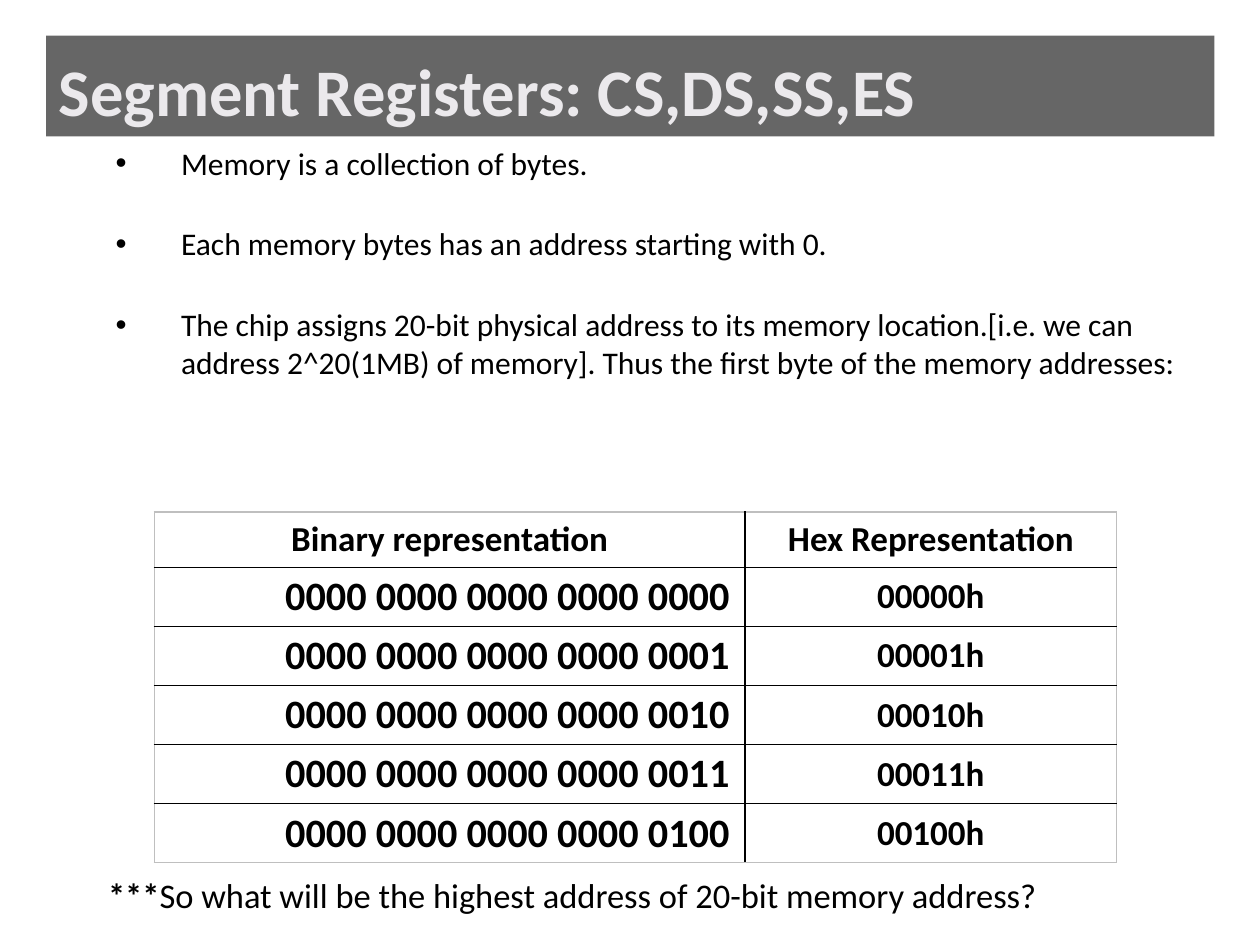
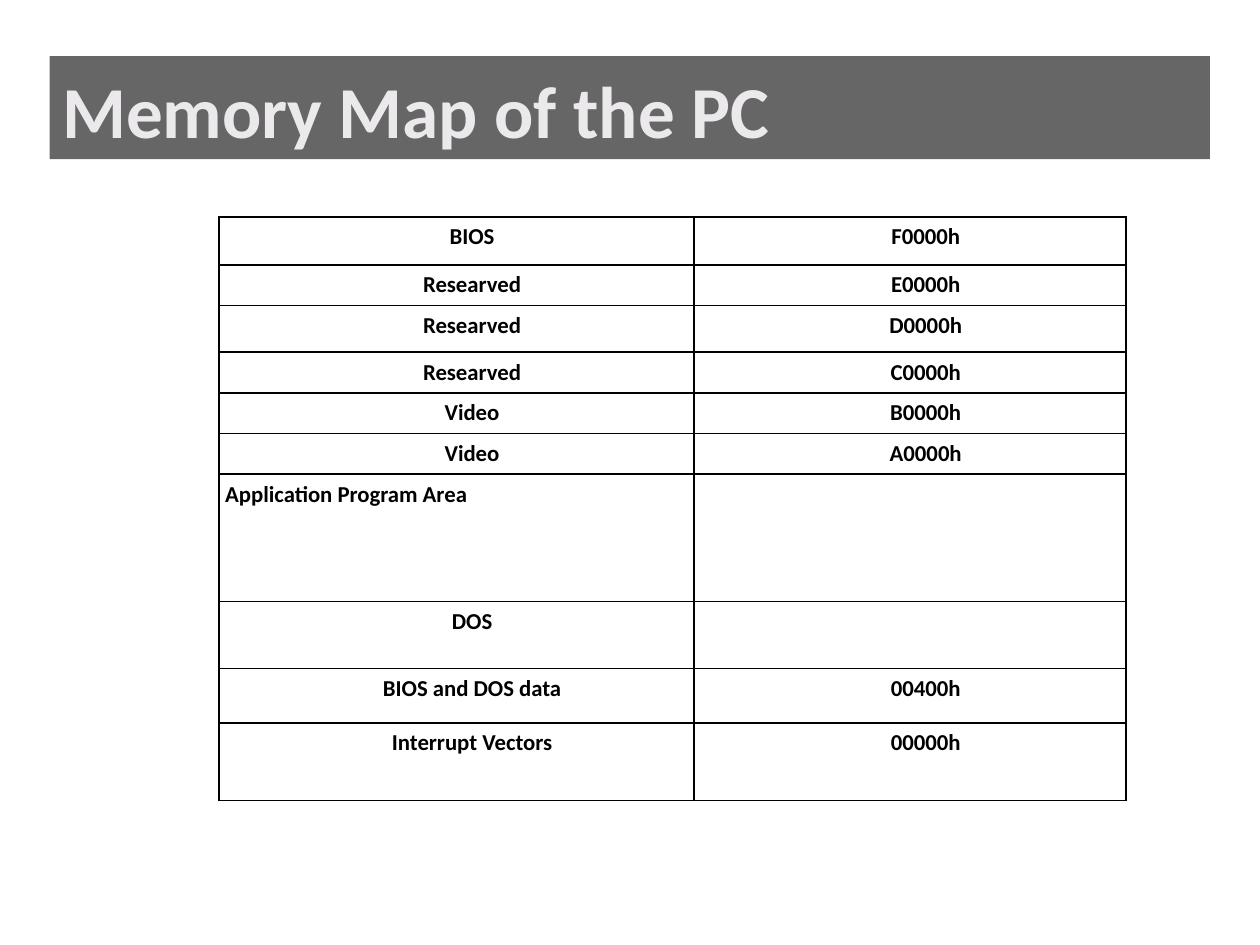
import pptx
import pptx.dml.color
import pptx.enum.text
import pptx.oxml.ns
import pptx.util
from lxml import etree

Cm, Pt = pptx.util.Cm, pptx.util.Pt
RGB = pptx.dml.color.RGBColor
ALIGN, ANCHOR = pptx.enum.text.PP_ALIGN, pptx.enum.text.MSO_ANCHOR
qn = pptx.oxml.ns.qn

BAND = RGB(0x26, 0x26, 0x26)
BAND_ALPHA = 70
TITLE = RGB(0xEB, 0xE9, 0xEC)
BLACK = RGB(0, 0, 0)
EDGE = RGB(0xBF, 0xBF, 0xBF)
FONT = "Calibri"

# Content
REGISTERS_TITLE = "Segment Registers: CS,DS,SS,ES"
POINTS = [
    "Memory is a collection of bytes.",
    "Each memory bytes has an address starting with 0.",
    "The chip assigns 20-bit physical address to its memory location."
    "[i.e. we can address 2^20(1MB) of memory]. "
    "Thus the first byte of the memory addresses:",
]
ADDRESSES = [
    ("Binary representation", "Hex Representation"),
    ("0000 0000 0000 0000 0000", "00000h"),
    ("0000 0000 0000 0000 0001", "00001h"),
    ("0000 0000 0000 0000 0010", "00010h"),
    ("0000 0000 0000 0000 0011", "00011h"),
    ("0000 0000 0000 0000 0100", "00100h"),
]
QUESTION = [("***", True),
            ("So what will be the highest address of 20-bit memory address?", False)]

MAP_TITLE = "Memory Map of the PC"
APP_AREA = "Application Program Area"
MEMORY_MAP = [  # use, start address, row height in cm
    ("BIOS", "F0000h", 0.97),
    ("Researved", "E0000h", 0.81),
    ("Researved", "D0000h", 0.94),
    ("Researved", "C0000h", 0.81),
    ("Video", "B0000h", 0.8),
    ("Video", "A0000h", 0.8),
    (APP_AREA, "", 2.57),
    ("DOS", "", 1.35),
    ("BIOS and DOS data", "00400h", 1.09),
    ("Interrupt Vectors", "00000h", 1.57),
]


def set_all(obj, values):
    for name, value in values.items():
        setattr(obj, name, value)


def add_run(p, text, size, bold=False, color=BLACK):
    r = p.add_run()
    r.text = text
    set_all(r.font, dict(name=FONT, size=Pt(size), bold=bold))
    r.font.color.rgb = color


def add_titled_slide(prs, title, size, box):
    s = prs.slides.add_slide(prs.slide_layouts[5])
    sp = s.shapes.title
    set_all(sp, dict(zip(("left", "top", "width", "height"), map(Cm, box))))
    sp.fill.solid()
    sp.fill.fore_color.rgb = BAND
    color = sp.fill._xPr.find(".//" + qn("a:srgbClr"))
    etree.SubElement(color, qn("a:alpha"), val=str(BAND_ALPHA * 1000))
    tf = sp.text_frame
    set_all(tf, dict(vertical_anchor=ANCHOR.BOTTOM, word_wrap=True,
                     auto_size=pptx.enum.text.MSO_AUTO_SIZE.NONE))
    p = tf.paragraphs[0]
    p.alignment = ALIGN.LEFT
    add_run(p, title, size, True, TITLE)
    return s


def add_text_box(s, box, **frame):
    tf = s.shapes.add_textbox(*map(Cm, box)).text_frame
    set_all(tf, dict(word_wrap=True, **frame))
    return tf


def add_bullet(p, indent):
    pPr = p._p.get_or_add_pPr()
    pPr.set("marL", str(indent))
    pPr.set("indent", str(-indent))
    etree.SubElement(pPr, qn("a:buFont"), typeface="Arial")
    etree.SubElement(pPr, qn("a:buChar"), char="•")


def add_borders(cell, sides):
    tcPr = cell._tc.get_or_add_tcPr()
    for side, (color, width) in sides.items():
        ln = etree.SubElement(tcPr, qn("a:ln" + side), w=str(Pt(width)))
        fill = etree.SubElement(ln, qn("a:solidFill"))
        etree.SubElement(fill, qn("a:srgbClr"), val=str(color))


def add_grid(s, left, top, widths, heights, outer):
    """Add an unfilled table with black inner lines and the given outer line."""
    rows, cols = len(heights), len(widths)
    table = s.shapes.add_table(rows, cols, Cm(left), Cm(top),
                               Cm(sum(widths)), Cm(sum(heights))).table
    set_all(table, dict(first_row=False, horz_banding=False))
    for col, width in zip(table.columns, widths):
        col.width = Cm(width)
    for row, height in zip(table.rows, heights):
        row.height = Cm(height)
    inner = (BLACK, 1)
    for i in range(rows):
        for j in range(cols):
            cell = table.cell(i, j)
            add_borders(cell, {"L": inner if j else outer,
                               "R": inner if j < cols - 1 else outer,
                               "T": inner if i else outer,
                               "B": inner if i < rows - 1 else outer})
            cell.fill.background()
    return table


def fill_cell(cell, text, size, align, margin, left, anchor):
    set_all(cell, dict(margin_left=Cm(left), margin_right=Cm(margin),
                       margin_top=Cm(margin), margin_bottom=Cm(margin),
                       vertical_anchor=anchor))
    p = cell.text_frame.paragraphs[0]
    p.alignment = align
    if text:
        add_run(p, text, size, True)


def build_registers(prs):
    s = add_titled_slide(prs, REGISTERS_TITLE, 38, (0.93, 0.72, 23.55, 2.03))

    # Bullets
    tf = add_text_box(s, (2.08, 2.77, 22.5, 6.71))
    for i, text in enumerate(POINTS):
        p = tf.add_paragraph() if i else tf.paragraphs[0]
        add_bullet(p, Cm(1.32))
        if i:
            p.space_before = Pt(24.6)
        add_run(p, text, 18)

    # Address table
    heights = [1.12] + [1.19] * (len(ADDRESSES) - 1)
    table = add_grid(s, 3.11, 10.32, (11.91, 7.49), heights, (EDGE, 0.75))
    for i, row in enumerate(ADDRESSES):
        for j, text in enumerate(row):
            binary = i > 0 and j == 0
            fill_cell(table.cell(i, j), text, 23 if binary else 20,
                      ALIGN.LEFT if binary else ALIGN.CENTER,
                      0.1, 2.64 if binary else 0.1, ANCHOR.MIDDLE)

    # Closing question
    pad = Cm(0.1)
    tf = add_text_box(s, (2.08, 17.52, 22.63, 1.04), vertical_anchor=ANCHOR.MIDDLE,
                      margin_left=pad, margin_right=pad,
                      margin_top=pad, margin_bottom=pad)
    for text, bold in QUESTION:
        add_run(tf.paragraphs[0], text, 19.7, bold)


def build_memory_map(prs):
    s = add_titled_slide(prs, MAP_TITLE, 41.8, (1, 1.13, 23.39, 2.08))
    heights = [row[-1] for row in MEMORY_MAP]
    table = add_grid(s, 4.41, 4.37, (9.58, 8.71), heights, (BLACK, 1))
    for i, row in enumerate(MEMORY_MAP):
        for j, text in enumerate(row[:2]):
            app = text == APP_AREA
            fill_cell(table.cell(i, j), text, 13,
                      ALIGN.LEFT if app else ALIGN.CENTER,
                      0.13, 0.13 if app else 0.76, ANCHOR.TOP)


def main():
    prs = pptx.Presentation()
    set_all(prs, dict(slide_width=Cm(25.4), slide_height=Cm(19.05)))
    build_registers(prs)
    build_memory_map(prs)
    prs.save("out.pptx")


if __name__ == "__main__":
    main()
